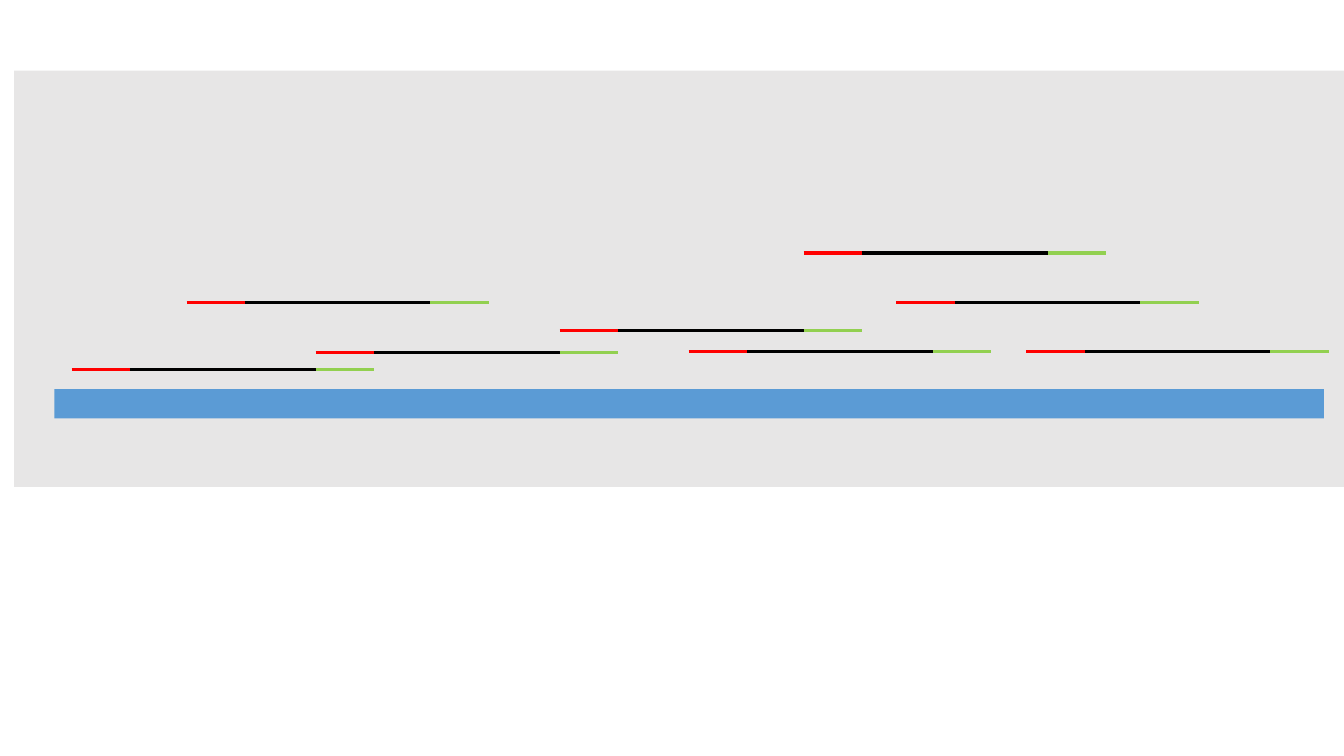
from lxml import etree
from pptx import Presentation
from pptx.dml.color import RGBColor
from pptx.enum.shapes import MSO_CONNECTOR, MSO_SHAPE
from pptx.oxml.ns import qn
from pptx.util import Inches, Pt

GREY = RGBColor(0xE7, 0xE6, 0xE6)
BLUE = RGBColor(0x5B, 0x9B, 0xD5)
RED = RGBColor(0xFF, 0x00, 0x00)
BLACK = RGBColor(0x00, 0x00, 0x00)
GREEN = RGBColor(0x92, 0xD0, 0x50)

# Bars: left, top, width, height, colour
PANEL = (0.14, 0.7, 13.19, 4.13, GREY)
REFERENCE = (0.54, 3.86, 12.59, 0.29, BLUE)

# Every read has the same three segments, left to right: length, colour
SEGMENTS = [(0.58, RED), (1.84, BLACK), (0.58, GREEN)]

# Start of each read: left, height on the slide
READS = [
    (0.71, 3.67), (3.13, 3.5), (5.55, 3.28), (1.85, 3),
    (6.83, 3.49), (7.97, 2.51), (8.89, 3), (10.18, 3.49),
]


def add_bar(slide, left, top, width, height, colour):
    """Add a plain filled rectangle."""
    bar = slide.shapes.add_shape(
        MSO_SHAPE.RECTANGLE,
        Inches(left), Inches(top), Inches(width), Inches(height))
    bar.shadow.inherit = False
    bar.fill.solid()
    bar.fill.fore_color.rgb = colour
    bar.line.fill.background()


def add_read(slide, left, y):
    """Add one read as a group of end-to-end coloured segments."""
    group = slide.shapes.add_group_shape()
    for length, colour in SEGMENTS:
        segment = group.shapes.add_connector(
            MSO_CONNECTOR.STRAIGHT,
            Inches(left), Inches(y), Inches(left + length), Inches(y))
        segment.line.color.rgb = colour
        segment.line.width = Pt(2.25)
        etree.SubElement(segment._element.spPr, qn("a:effectLst"))
        left += length


prs = Presentation()
prs.slide_width, prs.slide_height = Inches(13.33), Inches(7.5)
slide = prs.slides.add_slide(prs.slide_layouts[6])
for bar in (PANEL, REFERENCE):
    add_bar(slide, *bar)
for read in READS:
    add_read(slide, *read)
prs.save("out.pptx")
